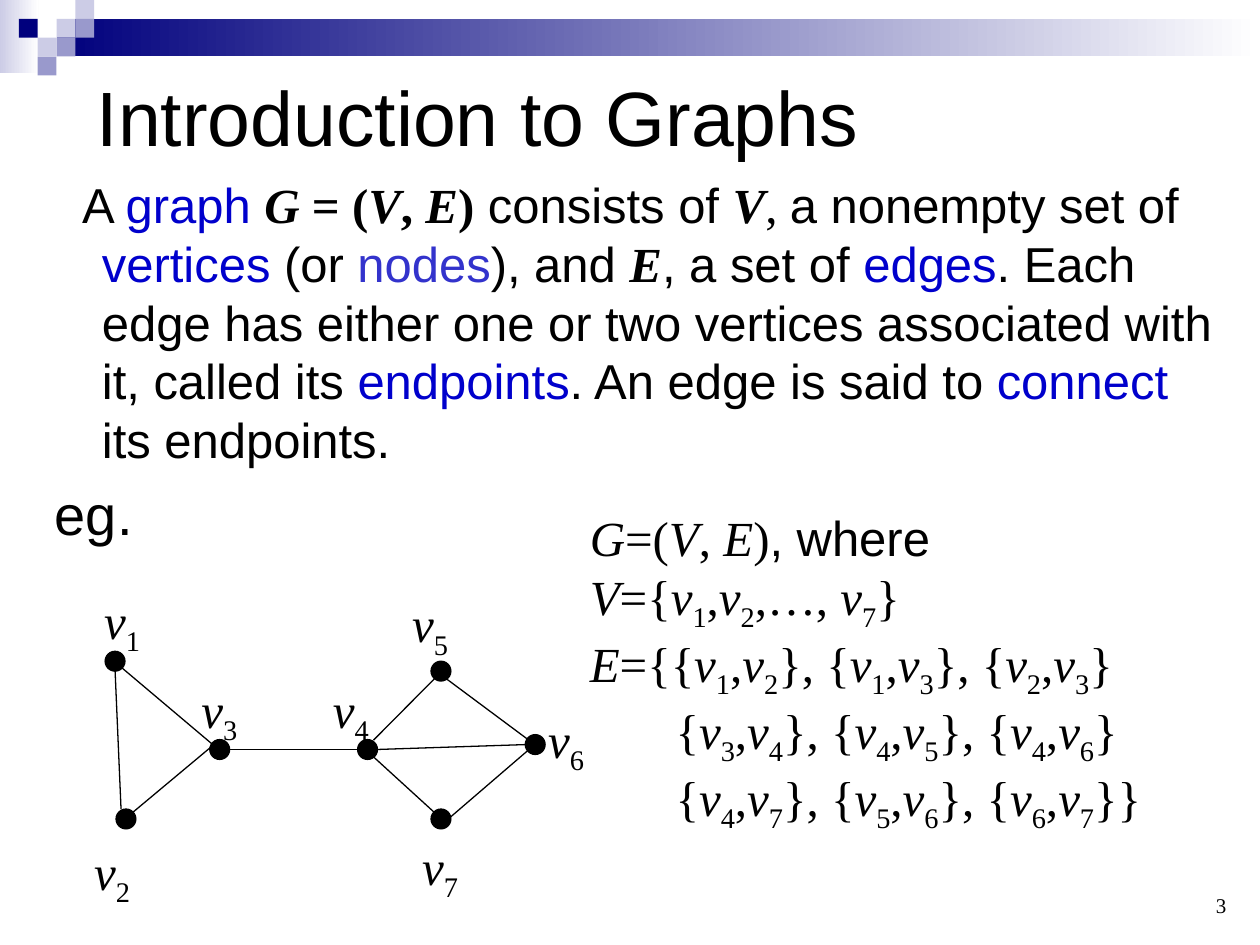
from dataclasses import dataclass
from itertools import groupby

from lxml.etree import SubElement
from pptx import Presentation
from pptx.dml.color import RGBColor
from pptx.enum.shapes import MSO_CONNECTOR, MSO_SHAPE
from pptx.enum.text import MSO_ANCHOR, MSO_AUTO_SIZE, PP_ALIGN
from pptx.oxml.ns import qn
from pptx.util import Cm, Pt


@dataclass(frozen=True)
class Theme:
    sans: str = "Arial"
    serif: str = "Times New Roman"
    ink: str = "000000"
    paper: str = "FFFFFF"
    navy: str = "00007D"
    mid: str = "9999CC"
    pale: str = "CCCCE6"
    term: str = "0000CC"
    soft_term: str = "3333CC"
    title: int = 44
    example: int = 32
    body: int = 28
    number: int = 12
    line: float = 0.75


def char_kind(ch):
    return "variable" if ch.isalpha() else "index" if ch.isdigit() else "sign"


class SlideBuilder:
    def __init__(self, slide, theme):
        self.slide = slide
        self.theme = theme

    def run(self, p, text, size=None, font=None, color=None, bold=False, italic=False):
        r = p.add_run()
        r.text = text
        r.font.name = font or self.theme.sans
        r.font.size = Pt(size or self.theme.body)
        r.font.color.rgb = RGBColor.from_string(color or self.theme.ink)
        r.font.bold = bold
        r.font.italic = italic
        return r

    def math(self, p, text, bold=False):
        """Set letters in italics and digits as subscripts."""
        for kind, chars in groupby(text, char_kind):
            r = self.run(p, "".join(chars), font=self.theme.serif, bold=bold,
                         italic=kind == "variable")
            if kind == "index":
                r._r.get_or_add_rPr().set("baseline", "-25000")

    def placeholder(self, idx, x, y, w, h, anchor):
        sp = self.slide.placeholders[idx]
        sp.left, sp.top, sp.width, sp.height = Cm(x), Cm(y), Cm(w), Cm(h)
        tf = sp.text_frame
        tf.word_wrap = True
        tf.auto_size = MSO_AUTO_SIZE.NONE
        tf.vertical_anchor = anchor
        return tf

    def indent(self, p, left, first=0):
        pPr = p._p.get_or_add_pPr()
        pPr.set("marL", str(Cm(left)))
        pPr.set("indent", str(Cm(first)))
        SubElement(pPr, qn("a:buNone"))

    def text_box(self, x, y, w, h, wrap=False):
        tf = self.slide.shapes.add_textbox(Cm(x), Cm(y), Cm(w), Cm(h)).text_frame
        tf.word_wrap = wrap
        return tf

    def shape(self, kind, x, y, w, h, color):
        sp = self.slide.shapes.add_shape(kind, Cm(x), Cm(y), Cm(w), Cm(h))
        sp.shadow.inherit = False
        sp.fill.solid()
        sp.fill.fore_color.rgb = RGBColor.from_string(color)
        sp.line.fill.background()
        return sp

    def gradient(self, x, y, w, h, start):
        sp = self.shape(MSO_SHAPE.RECTANGLE, x, y, w, h, start)
        sp.fill.gradient()
        sp.fill.gradient_angle = 0
        for stop, color in zip(sp.fill.gradient_stops, (start, self.theme.paper)):
            stop.color.rgb = RGBColor.from_string(color)

    def outline(self, line):
        line.color.rgb = RGBColor.from_string(self.theme.ink)
        line.width = Pt(self.theme.line)

    def edge(self, x1, y1, x2, y2):
        cxn = self.slide.shapes.add_connector(
            MSO_CONNECTOR.STRAIGHT, Cm(x1), Cm(y1), Cm(x2), Cm(y2))
        self.outline(cxn.line)
        SubElement(cxn._element.spPr, qn("a:effectLst"))

    def vertex(self, cx, cy, size=0.4):
        sp = self.shape(MSO_SHAPE.OVAL, cx - size / 2, cy - size / 2, size, size,
                        self.theme.ink)
        self.outline(sp.line)


def add_header(b):
    t = b.theme
    unit = 0.38
    b.gradient(0, 0, 0.78, 1.48, t.pale)
    b.gradient(3 * unit, unit, 25.4 - 3 * unit, 2 * unit, t.navy)
    for col, row, color in ((3, 1, t.pale), (4, 0, t.pale), (4, 1, t.mid),
                            (2, 2, t.pale), (1, 1, t.navy), (3, 2, t.mid),
                            (2, 3, t.mid)):
        b.shape(MSO_SHAPE.RECTANGLE, col * unit, row * unit, unit, unit, color)


def add_title_and_body(b):
    t = b.theme
    tf = b.placeholder(0, 1.27, 1.27, 22.86, 2.12, MSO_ANCHOR.MIDDLE)
    tf.margin_left = Cm(0.68)
    p = tf.paragraphs[0]
    p.alignment = PP_ALIGN.LEFT
    b.run(p, "Introduction to Graphs", t.title)

    tf = b.placeholder(1, 0.85, 3.39, 23.92, 6.14, MSO_ANCHOR.TOP)
    p = tf.paragraphs[0]
    p.space_before = Pt(0)
    b.indent(p, 0.95, -0.4)
    math = "math"
    for text, style in (
            ("A ", t.ink), ("graph ", t.term), ("G = (V, E)", math),
            (" consists of ", t.ink), ("V", math)):
        if style == math:
            b.math(p, text, bold=True)
        else:
            b.run(p, text, color=style)
    b.run(p, ", ", font=t.serif)
    for text, style in (
            ("a nonempty set of ", t.ink), ("vertices ", t.term), ("(or ", t.ink),
            ("nodes", t.soft_term), ("), and ", t.ink), ("E", math),
            (", a set of ", t.ink), ("edges", t.term),
            (". Each edge has either one or two vertices associated with it, "
             "called its ", t.ink),
            ("endpoints", t.term), (". An edge is said to ", t.ink),
            ("connect", t.term), (" its endpoints.", t.ink)):
        if style == math:
            b.math(p, text, bold=True)
        else:
            b.run(p, text, color=style)

    p = tf.add_paragraph()
    p.space_before = Pt(6.4)
    b.indent(p, 0.95, -0.95)
    b.run(p, "eg.", t.example)


def add_graph(b):
    for ends in ((2.43, 13.44, 4.55, 15.23), (4.42, 14.92, 2.66, 16.39),
                 (2.32, 13.52, 2.44, 16.31), (4.63, 15.11, 7.56, 15.11),
                 (7.53, 14.92, 8.77, 13.67), (8.98, 13.67, 10.66, 14.92),
                 (10.64, 15.13, 9.06, 16.49), (7.51, 15.24, 8.77, 16.39),
                 (7.56, 15.11, 10.59, 15.01)):
        b.edge(*ends)
    # Each vertex: centre, then the corner of its label
    for name, cx, cy, x, y in (
            ("v1", 2.32, 13.33, 1.85, 11.77), ("v2", 2.54, 16.51, 1.65, 16.84),
            ("v3", 4.43, 15.11, 3.81, 13.57), ("v4", 7.41, 15.11, 6.46, 13.57),
            ("v5", 8.89, 13.53, 8.06, 11.85), ("v6", 10.79, 15.01, 10.8, 14.17),
            ("v7", 8.89, 16.51, 8.26, 16.74)):
        b.vertex(cx, cy)
        b.math(b.text_box(x, y, 1.3, 1.44).paragraphs[0], name)


def add_definition(b):
    tf = b.text_box(11.64, 10.11, 12.27, 6.25)
    p = tf.paragraphs[0]
    b.math(p, "G=(V, E)")
    b.run(p, ", where")
    for text in ("V={v1,v2,…, v7}", "E={{v1,v2}, {v1,v3}, {v2,v3}",
                 "{v3,v4}, {v4,v5}, {v4,v6}", "{v4,v7}, {v5,v6}, {v6,v7}}"):
        p = tf.add_paragraph()
        if text.startswith("{"):
            b.indent(p, 1.73)
        b.math(p, text)


def add_slide_number(b):
    tf = b.text_box(19.05, 17.35, 5.92, 1.27, wrap=True)
    tf.vertical_anchor = MSO_ANCHOR.BOTTOM
    p = tf.paragraphs[0]
    p.alignment = PP_ALIGN.RIGHT
    b.run(p, "3", b.theme.number, b.theme.serif)


def main():
    prs = Presentation()
    prs.slide_width, prs.slide_height = Cm(25.4), Cm(19.05)
    b = SlideBuilder(prs.slides.add_slide(prs.slide_layouts[1]), Theme())
    for add_part in (add_header, add_title_and_body, add_graph, add_definition,
                     add_slide_number):
        add_part(b)
    prs.save("out.pptx")


if __name__ == "__main__":
    main()
